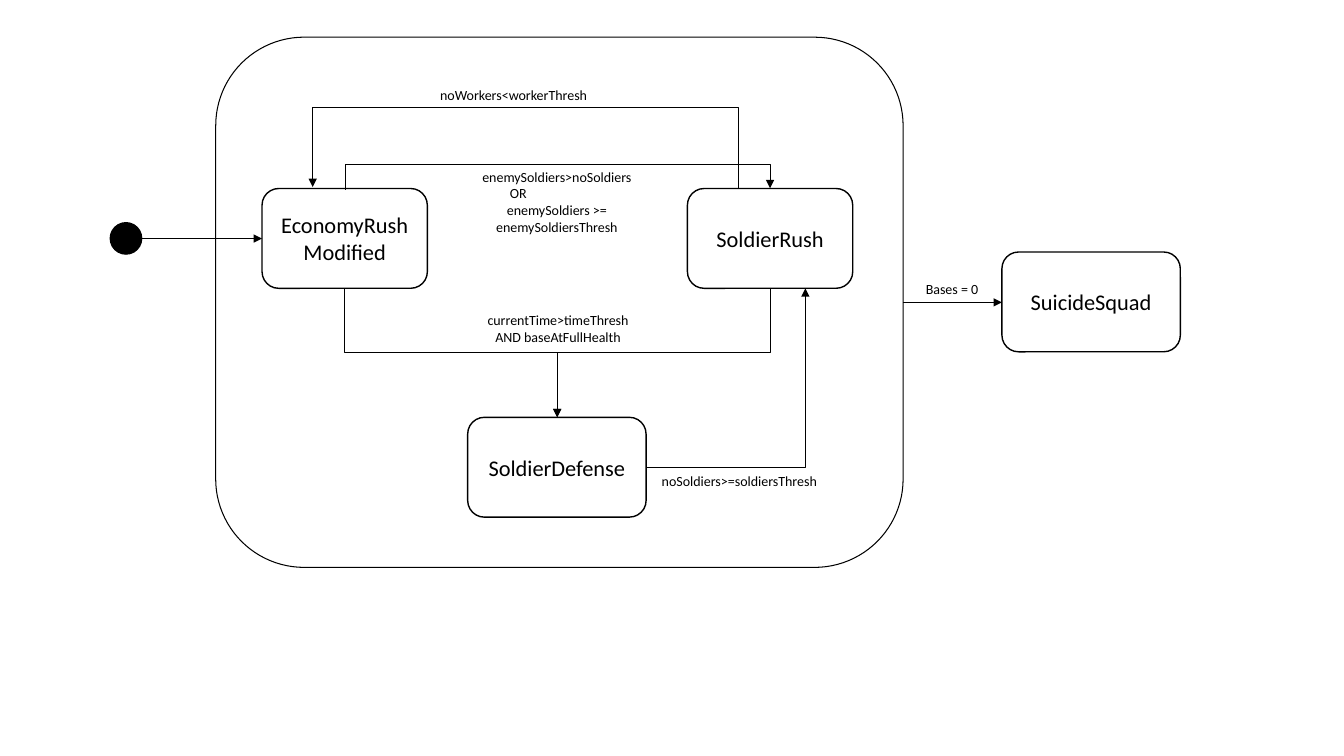
from lxml import etree
from pptx import Presentation
from pptx.dml.color import RGBColor
from pptx.enum import shapes, text
from pptx.oxml.ns import qn
from pptx.util import Pt

COLORS = {"ink": "000000", "paper": "FFFFFF"}
KIND = shapes.MSO_SHAPE


class Diagram:
    font = "Calibri"
    state_size = 16
    label_size = 10
    arrow_width = 0.5

    def __init__(self, slide):
        self.slide = slide

    def color(self, name):
        return RGBColor.from_string(COLORS[name])

    def set_words(self, frame, words, size):
        frame.word_wrap = True
        frame.text = words
        for paragraph in frame.paragraphs:
            paragraph.alignment = text.PP_ALIGN.CENTER
            for run in paragraph.runs:
                run.font.name = self.font
                run.font.size = Pt(size)
                run.font.color.rgb = self.color("ink")

    def outline(self, kind, left, top, width, height, fill=None, weight=1):
        shape = self.slide.shapes.add_shape(kind, Pt(left), Pt(top), Pt(width), Pt(height))
        shape.shadow.inherit = False
        if fill:
            shape.fill.solid()
            shape.fill.fore_color.rgb = self.color(fill)
        else:
            shape.fill.background()
        shape.line.color.rgb = self.color("ink")
        shape.line.width = Pt(weight)
        return shape

    def state(self, name, left, top, width):
        box = self.outline(KIND.ROUNDED_RECTANGLE, left, top, width, 71.28, "paper")
        box.text_frame.vertical_anchor = text.MSO_ANCHOR.MIDDLE
        self.set_words(box.text_frame, name, self.state_size)

    def label(self, words, left, top, width, height):
        box = self.slide.shapes.add_textbox(Pt(left), Pt(top), Pt(width), Pt(height))
        self.set_words(box.text_frame, words, self.label_size)
        return box.text_frame

    def arrow(self, start, end, kind=shapes.MSO_CONNECTOR.STRAIGHT):
        line = self.slide.shapes.add_connector(kind, *(Pt(v) for v in (*start, *end)))
        line.line.color.rgb = self.color("ink")
        line.line.width = Pt(self.arrow_width)
        properties = line._element.spPr
        etree.SubElement(properties.find(qn("a:ln")), qn("a:tailEnd"), type="triangle")
        etree.SubElement(properties, qn("a:effectLst"))
        return properties

    def corner_arrow(self, start, end):
        properties = self.arrow(start, end, shapes.MSO_CONNECTOR.ELBOW)
        properties.find(qn("a:prstGeom")).set("prst", "bentConnector2")

    def bridge_arrow(self, start, end, bridge_y):
        (x1, y1), (x2, y2) = start, end
        middle_x, middle_y = (x1 + x2) / 2, (y1 + y2) / 2
        half_run, half_rise = (x2 - x1) / 2, (y2 - y1) / 2
        properties = self.arrow(
            (middle_x - half_rise, middle_y + half_run),
            (middle_x + half_rise, middle_y - half_run),
            shapes.MSO_CONNECTOR.ELBOW,
        )
        properties.find(qn("a:xfrm")).set("rot", str(90 * 60000))
        geometry = properties.find(qn("a:prstGeom"))
        guides = geometry.find(qn("a:avLst"))
        if guides is None:
            guides = etree.SubElement(geometry, qn("a:avLst"))
        share = round((bridge_y - y1) / (y2 - y1) * 100000)
        etree.SubElement(guides, qn("a:gd"), name="adj1", fmla=f"val {share}")


deck = Presentation()
deck.slide_width, deck.slide_height = Pt(960), Pt(540)
diagram = Diagram(deck.slides.add_slide(deck.slide_layouts[6]))

for name, left, top, width in (
    ("EconomyRush\vModified", 187.2, 134.64, 118.08),
    ("SoldierRush", 491.04, 134.64, 118.08),
    ("SoldierDefense", 334.08, 298.08, 127.44),
    ("SuicideSquad", 715.68, 180, 127.44),
):
    diagram.state(name, left, top, width)

defense_top = (398, 298)
for source_x in (246.24, 550.08):
    diagram.bridge_arrow((source_x, 206), defense_top, 252)
diagram.bridge_arrow((247, 135.5), (550.08, 134.5), 117.4)
diagram.bridge_arrow((527.2, 134.6), (223.4, 133.6), 76.5)
diagram.corner_arrow((461.52, 334), (575.28, 206))

diagram.label("currentTime>timeThresh AND baseAtFullHealth", 337, 218.9, 123.1, 31.7)
attack = diagram.label(
    "enemySoldiers>noSoldiers\nOR\nenemySoldiers >= enemySoldiersThresh",
    336.2, 116.6, 123.1, 55.4,
)
either = attack.paragraphs[1]
either.alignment = text.PP_ALIGN.LEFT
either._p.get_or_add_pPr().set("marL", str(Pt(21)))
for words, left, top, width in (
    ("noWorkers<workerThresh", 305.3, 58.3, 123.1),
    ("noSoldiers>=soldiersThresh", 464.4, 334, 127.4),
    ("Bases = 0", 616.3, 196.5, 127.4),
):
    diagram.label(words, left, top, width, 19.4)

diagram.outline(KIND.ROUNDED_RECTANGLE, 154.1, 26.6, 491, 378.7, weight=0.75)
diagram.outline(KIND.OVAL, 78.8, 159.1, 22.4, 22.4, "ink")
diagram.arrow((645, 216), (715.68, 216))
diagram.arrow((101, 170.4), (187.2, 170.4))

deck.save("out.pptx")
